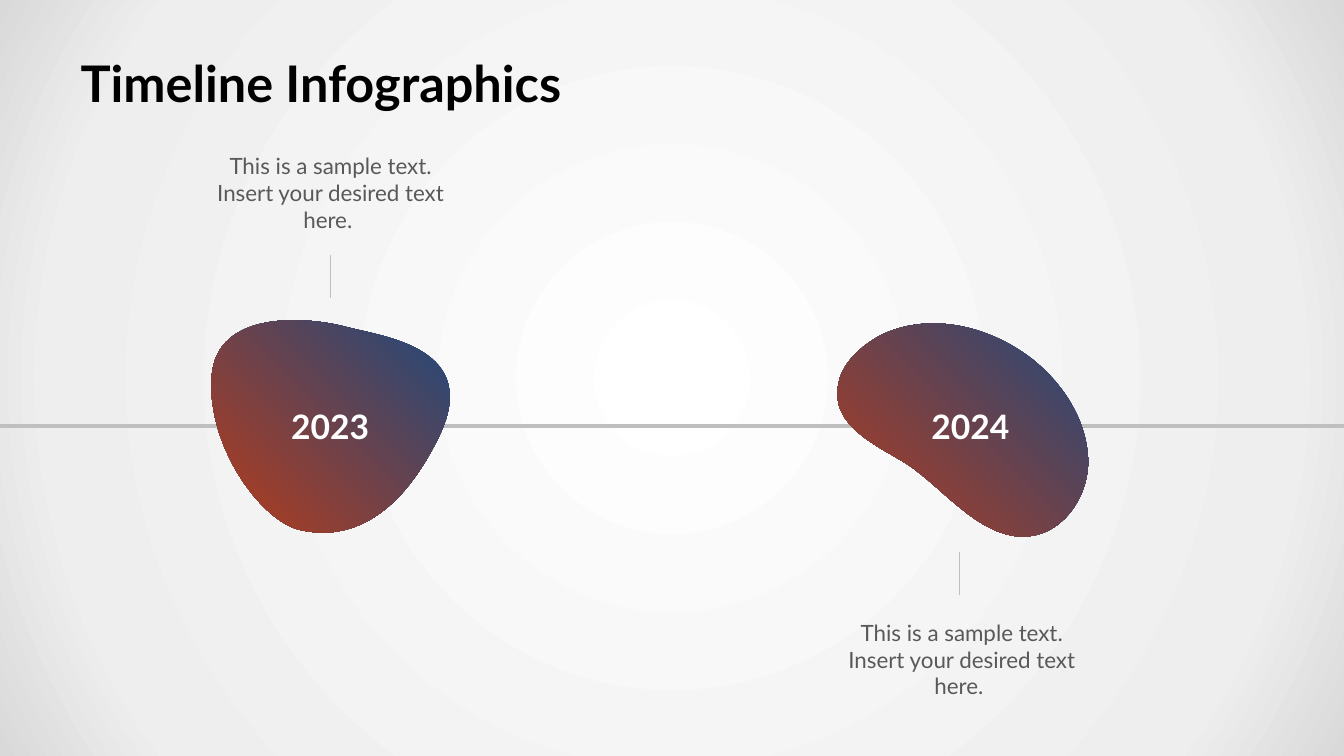
from copy import deepcopy

from lxml import etree
from pptx import Presentation
from pptx.dml.color import RGBColor
from pptx.enum.shapes import MSO_CONNECTOR
from pptx.enum.text import MSO_ANCHOR, MSO_AUTO_SIZE, PP_ALIGN
from pptx.oxml.ns import qn
from pptx.util import Inches, Pt

PX = 9144
WIDTH, AXIS_Y = 1333, 423
STRAIGHT = MSO_CONNECTOR.STRAIGHT
MIDDLE = MSO_ANCHOR.MIDDLE
GROW = MSO_AUTO_SIZE.SHAPE_TO_FIT_TEXT
CENTER, LEFT = PP_ALIGN.CENTER, PP_ALIGN.LEFT

BLACK = RGBColor(0x00, 0x00, 0x00)
WHITE = RGBColor(0xFF, 0xFF, 0xFF)
PALE = RGBColor(0xEE, 0xEE, 0xEE)
SILVER = RGBColor(0xD9, 0xD9, 0xD9)
RULE = RGBColor(0xBF, 0xBF, 0xBF)
GREY = RGBColor(0x59, 0x59, 0x59)
NAVY = RGBColor(0x1F, 0x49, 0x7D)
RUST = RGBColor(0xB8, 0x3B, 0x1A)

TITLE_FONT = {"name": "Lato", "size": Pt(36), "bold": True}
YEAR_FONT = {"name": "Lato", "size": Pt(24), "bold": True}
NOTE_FONT = {"name": "Lato", "size": Pt(16), "bold": False}

NOTE = "This is a sample text. Insert your desired text here. "
MILESTONES = [
    {"cx": 328, "year": "2023", "year_dx": -49, "stem_dx": 0,
     "stem": (-170, -127), "note_dy": -277,
     "blob": (-119, -106, 237, 211),
     "curves": [((272, 27), (170, 17), (133, 7)),
                ((95, -3), (5, -10), (1, 57)),
                ((-4, 124), (48, 197), (86, 208)),
                ((123, 218), (179, 211), (225, 119))]},
    {"cx": 954, "year": "2024", "year_dx": -40, "stem_dx": -2,
     "stem": (125, 167), "note_dy": 186,
     "blob": (-128, -114, 256, 227),
     "curves": [((159, 16), (100, 0), (51, 22)),
                ((30, 32), (7, 52), (5, 76)),
                ((0, 115), (46, 134), (73, 151)),
                ((107, 173), (140, 218), (182, 223)),
                ((227, 228), (257, 181), (253, 142)),
                ((250, 106), (229, 73), (200, 49))]},
]


def set_stops(fill, stops):
    """Colour the gradient stops of a fill."""
    for stop, (position, color) in zip(fill.gradient_stops, stops):
        stop.position = position
        stop.color.rgb = color


def paint_background(s):
    """Give the slide a round gradient from its centre."""
    fill = s.background.fill
    fill.gradient()
    grad = s._element.xpath("./p:cSld/p:bg//a:gradFill")[0]
    stops = grad.find(qn("a:gsLst"))
    stops.append(deepcopy(stops[0]))
    lin = grad.find(qn("a:lin"))
    circle = etree.Element(qn("a:path"), {"path": "circle"})
    etree.SubElement(circle, qn("a:fillToRect"), dict.fromkeys("ltrb", "50000"))
    grad.replace(lin, circle)
    set_stops(fill, [(0, WHITE), (0.81, PALE), (1, SILVER)])


def write(sp, text, font, color, align):
    """Put one formatted paragraph into a shape."""
    p = sp.text_frame.paragraphs[0]
    p.alignment = align
    r = p.add_run()
    r.text = text
    for name, value in font.items():
        setattr(r.font, name, value)
    r.font.color.rgb = color


def add_title(s, x, y, w, h):
    """Place the slide title in the given box."""
    sp = s.shapes.title
    sp.left, sp.top, sp.width, sp.height = (v * PX for v in (x, y, w, h))
    tf = sp.text_frame
    for name, value in {"margin_left": 13 * PX, "margin_right": 13 * PX,
                        "margin_top": 7 * PX, "margin_bottom": 7 * PX,
                        "vertical_anchor": MIDDLE, "word_wrap": True}.items():
        setattr(tf, name, value)
    write(sp, "Timeline Infographics", TITLE_FONT, BLACK, LEFT)


def add_rule(s, x1, y1, x2, y2, weight):
    """Draw a straight grey line."""
    line = s.shapes.add_connector(STRAIGHT, x1 * PX, y1 * PX, x2 * PX, y2 * PX)
    line.line.color.rgb = RULE
    line.line.width = Pt(weight)
    etree.SubElement(line._element.spPr, qn("a:effectLst"))


def add_label(s, x, y, w, h, text, font, color, wrap):
    """Add a centred text box that grows with its text."""
    sp = s.shapes.add_textbox(x * PX, y * PX, w * PX, h * PX)
    tf = sp.text_frame
    tf.word_wrap = wrap
    tf.auto_size = GROW
    if wrap:
        tf.margin_left = tf.margin_right = 0
    write(sp, text, font, color, CENTER)


def add_segment(outline, tag, points):
    """Append one drawing step to an outline."""
    segment = etree.SubElement(outline, qn(tag))
    for x, y in points:
        etree.SubElement(segment, qn("a:pt"), {"x": str(x), "y": str(y)})


def add_blob(s, x, y, w, h, curves):
    """Draw a closed curved gradient blob in the given box."""
    builder = s.shapes.build_freeform(x, y, scale=PX)
    builder.add_line_segments([(x + w, y + h)])
    sp = builder.convert_to_shape()
    outline = sp._element.xpath(".//a:pathLst/a:path")[0]
    for segment in list(outline):
        outline.remove(segment)
    add_segment(outline, "a:moveTo", curves[-1][-1:])
    for curve in curves:
        add_segment(outline, "a:cubicBezTo", curve)
    add_segment(outline, "a:close", ())
    sp.shadow.inherit = False
    sp.line.fill.background()
    sp.fill.gradient()
    sp.fill.gradient_angle = 225
    set_stops(sp.fill, [(0, NAVY), (1, RUST)])


def add_milestone(s, cy, cx, year, year_dx, stem_dx, stem, note_dy, blob, curves):
    """Place a blob, its year, stem and note around a point of the axis."""
    dx, dy, w, h = blob
    add_blob(s, cx + dx, cy + dy, w, h, curves)
    add_label(s, cx + year_dx, cy - 25, 97, 50, year, YEAR_FONT, WHITE, False)
    add_label(s, cx - 128, cy + note_dy, 256, 91, NOTE, NOTE_FONT, GREY, True)
    x = cx + stem_dx
    add_rule(s, x, cy + stem[0], x, cy + stem[1], 0.75)


def main():
    """Build the timeline slide and save it."""
    prs = Presentation()
    prs.slide_width, prs.slide_height = Inches(13.33), Inches(7.5)
    s = prs.slides.add_slide(prs.slide_layouts[5])
    paint_background(s)
    add_title(s, 67, 43, 1200, 78)
    add_rule(s, 0, AXIS_Y, WIDTH, AXIS_Y, 3)
    for milestone in MILESTONES:
        add_milestone(s, AXIS_Y, **milestone)
    prs.save("out.pptx")


if __name__ == "__main__":
    main()
